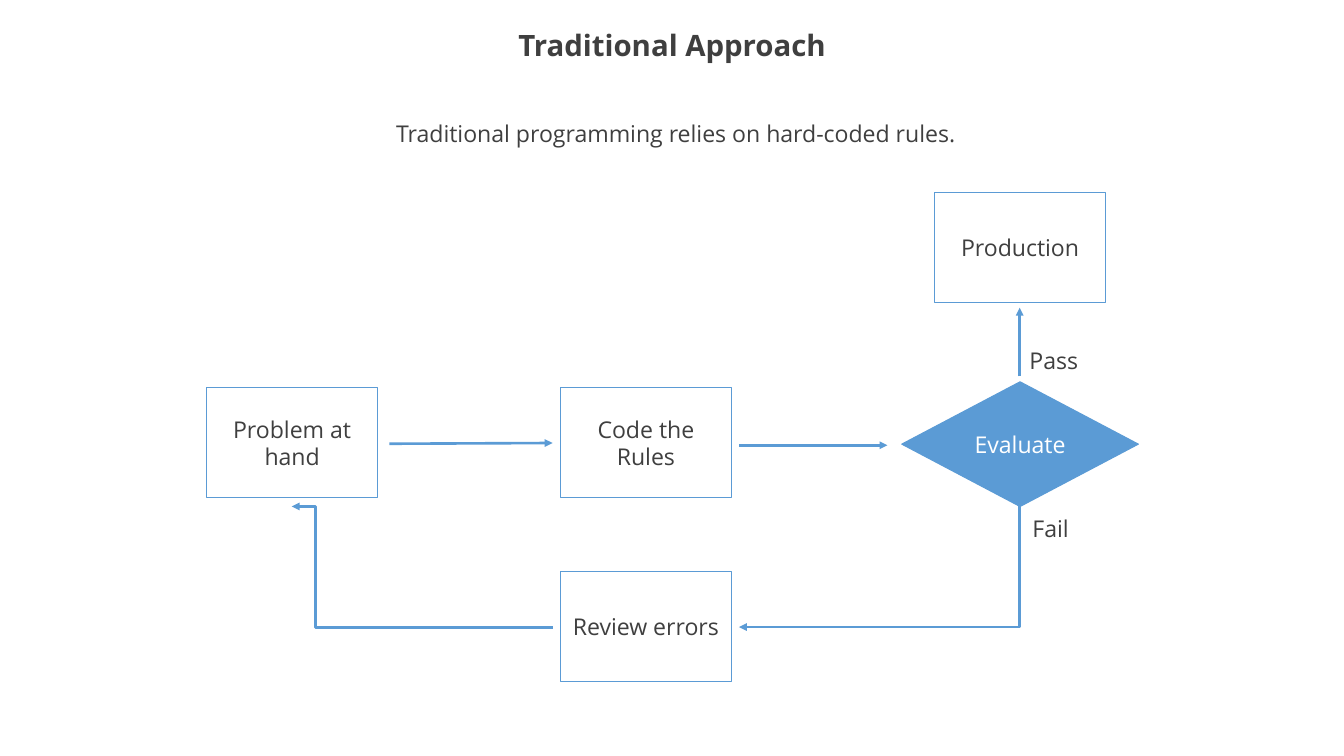
from lxml import etree
from pptx import Presentation
from pptx import util as u
from pptx.dml.color import RGBColor
from pptx.enum import shapes, text
from pptx.oxml.ns import qn

PX = 9144  # EMU per px, 100 px to the inch
COLORS = {"ink": "3F3F3F", "blue": "5B9BD5", "white": "FFFFFF"}
FONT = "Open Sans"
BOX_W, BOX_H = 227, 145
KIND = shapes.MSO_CONNECTOR


def px(*vals):
    return [u.Emu(v * PX) for v in vals]


def rgb(name):
    return RGBColor.from_string(COLORS[name])


def write(shape, words, color="ink", size=22, bold=False, center=True):
    frame = shape.text_frame
    frame.word_wrap = True
    frame.text = words
    para = frame.paragraphs[0]
    para.alignment = text.PP_ALIGN.CENTER if center else text.PP_ALIGN.LEFT
    font = para.runs[0].font
    font.name, font.size, font.bold = FONT, u.Pt(size), bold
    font.color.rgb = rgb(color)
    return frame


def add_text(slide, words, x, y, w, h, **style):
    return write(slide.shapes.add_textbox(*px(x, y, w, h)), words, **style)


def add_node(slide, words, x, y, w=BOX_W, h=BOX_H,
             form=shapes.MSO_SHAPE.RECTANGLE, fill="white", color="ink"):
    node = slide.shapes.add_shape(form, *px(x, y, w, h))
    node.shadow.inherit = False
    node.fill.solid()
    node.fill.fore_color.rgb = rgb(fill)
    node.line.color.rgb = rgb("blue")
    node.line.width = u.Pt(1)
    frame = write(node, words, color)
    frame.vertical_anchor = text.MSO_ANCHOR.MIDDLE


def add_arrow(slide, start, end, kind=KIND.STRAIGHT):
    arrow = slide.shapes.add_connector(kind, *px(*start, *end))
    arrow.line.color.rgb = rgb("blue")
    arrow.line.width = u.Pt(2.5)
    etree.SubElement(arrow.line._get_or_add_ln(), qn("a:tailEnd"), type="triangle")
    props = arrow._element.spPr
    etree.SubElement(props, qn("a:effectLst"))
    return props


def add_step(slide, start, end, bend):
    """Elbow that runs sideways, turns at the given share of its width, and runs on."""
    geom = add_arrow(slide, start, end, KIND.ELBOW).find(qn("a:prstGeom"))
    guides = geom.find(qn("a:avLst"))
    if guides is None:
        guides = etree.SubElement(geom, qn("a:avLst"))
    etree.SubElement(guides, qn("a:gd"), name="adj1", fmla=f"val {round(bend * 100000)}")


def add_drop(slide, start, end):
    """Elbow with one corner that runs down and then left: a quarter-turned bend."""
    (x1, y1), (x2, y2) = start, end
    wide, tall = x1 - x2, y2 - y1
    left = (x1 + x2 - tall) // 2
    top = (y1 + y2 - wide) // 2
    props = add_arrow(slide, (left, top), (left + tall, top + wide), KIND.ELBOW)
    props.find(qn("a:xfrm")).set("rot", str(90 * 60000))
    props.find(qn("a:prstGeom")).set("prst", "bentConnector2")


def main():
    deck = Presentation()
    deck.slide_width, deck.slide_height = px(1778, 1000)
    slide = deck.slides.add_slide(deck.slide_layouts[6])

    title = add_text(slide, "Traditional Approach", -1, 25, 1780, 75, size=28, bold=True)
    title.vertical_anchor = text.MSO_ANCHOR.MIDDLE
    title.paragraphs[0].line_spacing = 0.9

    for words, x, y in (
        ("Problem at hand", 273, 513),
        ("Production", 1236, 255),
        ("Review errors", 741, 756),
        ("Code the Rules", 741, 513),
    ):
        add_node(slide, words, x, y)
    add_node(slide, "Evaluate", 1193, 505, 313, 165,
             shapes.MSO_SHAPE.FLOWCHART_DECISION, "blue", "white")

    add_step(slide, (731, 830), (386, 670), 0.91)
    add_drop(slide, (1349, 670), (978, 830))
    for start, end in (
        ((515, 587), (731, 586)),
        ((978, 589), (1174, 589)),
        ((1349, 498), (1349, 407)),
    ):
        add_arrow(slide, start, end)

    add_text(slide, "Pass", 1352, 453, 107, 47, center=False)
    add_text(slide, "Fail", 1356, 676, 107, 47, center=False)
    add_text(slide, "Traditional programming relies on hard-coded rules.", 476, 153, 836, 47)
    deck.save("out.pptx")


if __name__ == "__main__":
    main()
